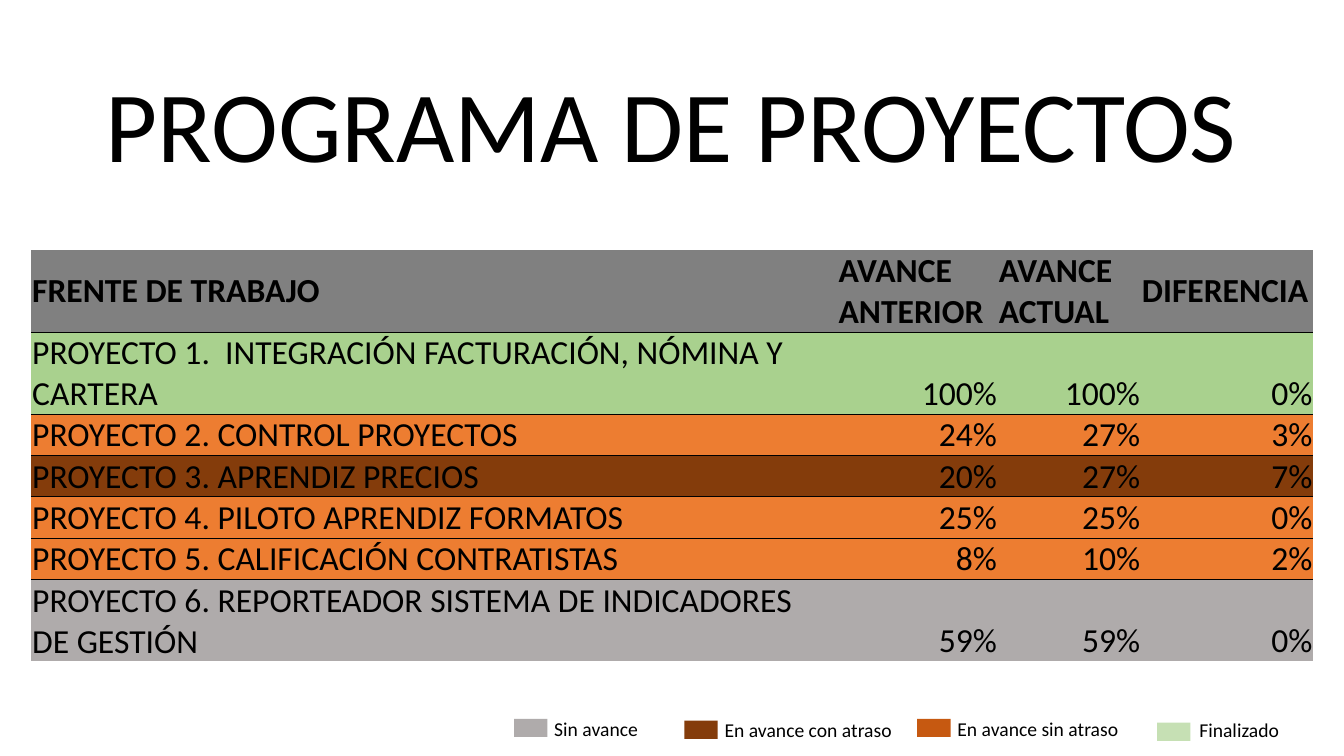
from lxml.etree import SubElement
from pptx import Presentation
from pptx.dml.color import RGBColor
from pptx.enum.shapes import MSO_SHAPE as Preset
from pptx.enum.text import MSO_ANCHOR as Anchor, MSO_AUTO_SIZE as AutoSize, PP_ALIGN as Align
from pptx.oxml import parse_xml
from pptx.oxml.ns import nsdecls, qn
from pptx.util import Pt

NO_STYLE = "{2D5ABB26-0587-4C30-8999-92F81FD0307C}"
BLACK, HEADER = "000000", "808080"
DONE, ON_TIME, LATE, IDLE = "A9D18E", "ED7D31", "843C0B", "AFABAB"

HEADINGS = ["FRENTE DE TRABAJO", "AVANCE ANTERIOR", "AVANCE ACTUAL", "DIFERENCIA"]
COLUMN_WIDTHS = [576, 114.5, 102.2, 123.1]
LINE_HEIGHT = 29.3
# name, previous progress, current progress, colour, lines of text
PROJECTS = [
    ("PROYECTO 1.  INTEGRACIÓN FACTURACIÓN, NÓMINA Y CARTERA", 100, 100, DONE, 2),
    ("PROYECTO 2. CONTROL PROYECTOS", 24, 27, ON_TIME, 1),
    ("PROYECTO 3. APRENDIZ PRECIOS", 20, 27, LATE, 1),
    ("PROYECTO 4. PILOTO APRENDIZ FORMATOS", 25, 25, ON_TIME, 1),
    ("PROYECTO 5. CALIFICACIÓN CONTRATISTAS", 8, 10, ON_TIME, 1),
    ("PROYECTO 6. REPORTEADOR SISTEMA DE INDICADORES DE GESTIÓN", 59, 59, IDLE, 2),
]
# label, colour, swatch left and top, label left, top and width
LEGEND = [
    ("Sin avance", IDLE, 367.2, 513.4, 388.8, 508.3, 139),
    ("En avance con atraso", LATE, 488.9, 514.8, 510.5, 509, 139),
    ("En avance sin atraso", "C65911", 655.2, 513.4, 676.8, 508.3, 139),
    ("Finalizado", "C6E0B4", 826.6, 516.2, 849.6, 509, 75),
]


def rgb(color):
    return RGBColor.from_string(color)


def write(frame, text, size, font="Calibri", color=BLACK, bold=False, align=Align.LEFT):
    paragraph = frame.paragraphs[0]
    paragraph.alignment = align
    run = paragraph.add_run()
    run.text = text
    run.font.name, run.font.size, run.font.bold = font, Pt(size), bold
    run.font.color.rgb = rgb(color)


def rule_cell(cell, sides, color=BLACK, width=0.5):
    """Draw border lines on the given sides, listed in schema order (T before B)."""
    properties = cell._tc.get_or_add_tcPr()
    for index, side in enumerate(sides):
        properties.insert(index, parse_xml(
            f'<a:ln{side} {nsdecls("a")} w="{Pt(width)}"><a:solidFill>'
            f'<a:srgbClr val="{color}"/></a:solidFill></a:ln{side}>'))


class SlideBuilder:
    def __init__(self, slide, cell_size=24):
        self.shapes = slide.shapes
        self.cell_size = cell_size

    def text(self, text, left, top, width, height, **style):
        frame = self.shapes.add_textbox(Pt(left), Pt(top), Pt(width), Pt(height)).text_frame
        frame.word_wrap = True
        frame.auto_size = AutoSize.SHAPE_TO_FIT_TEXT
        write(frame, text, **style)

    def swatch(self, left, top, color, width=23.8, height=13):
        box = self.shapes.add_shape(Preset.RECTANGLE, Pt(left), Pt(top), Pt(width), Pt(height))
        box.shadow.inherit = False
        box.fill.solid()
        box.fill.fore_color.rgb = rgb(color)
        box.line.fill.background()

    def cell(self, cell, text, fill, anchor, **style):
        cell.margin_left = cell.margin_right = cell.margin_top = Pt(0.7)
        cell.margin_bottom = 0
        cell.vertical_anchor = anchor
        cell.fill.solid()
        cell.fill.fore_color.rgb = rgb(fill)
        write(cell.text_frame, text, self.cell_size, **style)

    def progress_table(self, left, top):
        line_counts = [2] + [project[-1] for project in PROJECTS]
        table = self.shapes.add_table(
            len(line_counts), len(HEADINGS), Pt(left), Pt(top),
            Pt(sum(COLUMN_WIDTHS)), Pt(LINE_HEIGHT * sum(line_counts))).table
        table.first_row = table.horz_banding = False
        table._tbl.tblPr.find(qn("a:tableStyleId")).text = NO_STYLE
        for column, width in zip(table.columns, COLUMN_WIDTHS):
            column.width = Pt(width)
        for row, lines in zip(table.rows, line_counts):
            row.height = Pt(LINE_HEIGHT * lines)

        for cell, heading in zip(table.rows[0].cells, HEADINGS):
            self.cell(cell, heading, HEADER, Anchor.MIDDLE, bold=True)
        for index, (name, previous, current, color, _) in enumerate(PROJECTS, 1):
            cells = list(table.rows[index].cells)
            self.cell(cells[0], name, color, Anchor.BOTTOM)
            for cell, value in zip(cells[1:], (previous, current, current - previous)):
                self.cell(cell, f"{value}%", color, Anchor.BOTTOM, align=Align.RIGHT)

        last = len(line_counts) - 1
        for index, row in enumerate(table.rows):
            sides = ("T" if index > 0 else "") + ("B" if index < last else "")
            for cell in row.cells:
                rule_cell(cell, sides)


def main():
    deck = Presentation()
    deck.slide_width, deck.slide_height = Pt(960), Pt(540)
    builder = SlideBuilder(deck.slides.add_slide(deck.slide_layouts[6]))
    builder.text("PROGRAMA DE PROYECTOS", 44, 40.3, 871.2, 94.3, size=72, align=Align.CENTER)
    builder.progress_table(22.3, 178.6)
    for label, color, swatch_left, swatch_top, left, top, width in LEGEND:
        builder.swatch(swatch_left, swatch_top, color)
        builder.text(label, left, top, width, 24.3, size=14)
    deck.save("out.pptx")


if __name__ == "__main__":
    main()
